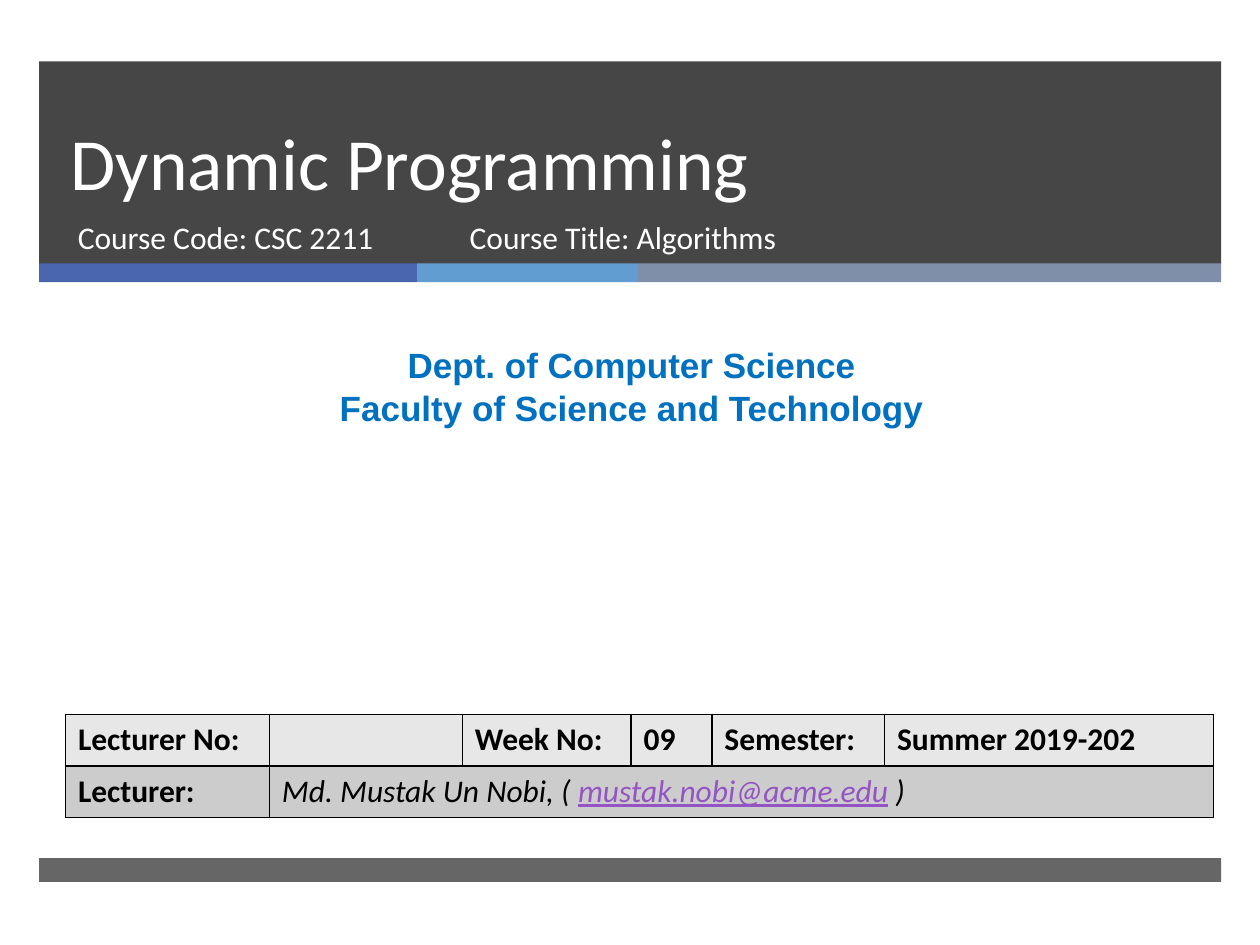
from dataclasses import dataclass

from lxml.etree import SubElement
from pptx import Presentation
from pptx.dml.color import RGBColor
from pptx.enum.shapes import MSO_SHAPE
from pptx.enum.text import MSO_ANCHOR, MSO_AUTO_SIZE, PP_ALIGN
from pptx.oxml.ns import qn
from pptx.util import Cm, Pt

WHITE, BLACK, DARK, BLUE, VIOLET = "FFFFFF", "000000", "262626", "0070C0", "9454C3"


@dataclass
class Box:
    """A rectangle in centimetres."""
    left: float
    top: float
    width: float
    height: float

    def lengths(self) -> list:
        return [Cm(n) for n in (self.left, self.top, self.width, self.height)]


@dataclass
class Band:
    box: Box
    color: str
    opacity: int = 100


def rgb(color: str) -> RGBColor:
    return RGBColor.from_string(color)


def add_span(para, text: str, *, size=18, font="Calibri", color=BLACK,
             bold=False, italic=False, underline=False) -> None:
    span = para.add_run()
    span.text = text
    style = span.font
    style.name, style.size, style.color.rgb = font, Pt(size), rgb(color)
    style.bold, style.italic, style.underline = bold, italic, underline


def add_band(page, band: Band) -> None:
    shape = page.shapes.add_shape(MSO_SHAPE.RECTANGLE, *band.box.lengths())
    shape.shadow.inherit = False
    shape.line.fill.background()
    shape.fill.solid()
    shape.fill.fore_color.rgb = rgb(band.color)
    if band.opacity < 100:
        tint = shape.fill._xPr.find(".//" + qn("a:srgbClr"))
        SubElement(tint, qn("a:alpha"), val=str(band.opacity * 1000))


def add_text(page, box: Box, lines: list[str], align=PP_ALIGN.LEFT, **style) -> None:
    frame = page.shapes.add_textbox(*box.lengths()).text_frame
    frame.word_wrap = True
    for index, line in enumerate(lines):
        para = frame.add_paragraph() if index else frame.paragraphs[0]
        para.alignment = align
        add_span(para, line, **style)


def format_cell(cell, color: str) -> None:
    properties = cell._tc.get_or_add_tcPr()
    for side in ("a:lnL", "a:lnR", "a:lnT", "a:lnB"):
        line = SubElement(properties, qn(side), w=str(Pt(1)))
        SubElement(SubElement(line, qn("a:solidFill")), qn("a:srgbClr"), val=BLACK)
    cell.fill.solid()
    cell.fill.fore_color.rgb = rgb(color)


def add_lecture_table(page) -> None:
    widths = [4.11, 3.89, 3.4, 1.63, 3.48, 6.63]
    box = Box(1.32, 14.4, sum(widths), 2.08)
    table = page.shapes.add_table(2, len(widths), *box.lengths()).table
    for column, width in zip(table.columns, widths):
        column.width = Cm(width)
    for row, color in zip(table.rows, ("E7E7E7", "CCCCCC")):
        for cell in row.cells:
            format_cell(cell, color)
    table.cell(1, 1).merge(table.cell(1, 5))

    labels = ["Lecturer No:", "", "Week No:", "09", "Semester:", "Summer 2019-202"]
    for index, label in enumerate(labels):
        if label:
            add_span(table.cell(0, index).text_frame.paragraphs[0], label, bold=True)
    add_span(table.cell(1, 0).text_frame.paragraphs[0], "Lecturer:", bold=True)
    para = table.cell(1, 1).text_frame.paragraphs[0]
    add_span(para, "Md. Mustak Un Nobi, ( ", italic=True)
    add_span(para, "mustak.nobi@acme.edu", italic=True, color=VIOLET, underline=True)
    add_span(para, " )", italic=True)


def add_title(page, box: Box, text: str) -> None:
    title = page.shapes.title
    title.left, title.top, title.width, title.height = box.lengths()
    page.shapes._spTree.append(title._element)  # bring above the dark band
    frame = title.text_frame
    frame.auto_size = MSO_AUTO_SIZE.NONE
    frame.vertical_anchor = MSO_ANCHOR.BOTTOM
    para = frame.paragraphs[0]
    para.alignment, para.line_spacing = PP_ALIGN.LEFT, Pt(46)
    add_span(para, text, size=42, color=WHITE)


def main() -> None:
    deck = Presentation()
    deck.slide_width, deck.slide_height = Cm(25.4), Cm(19.05)
    page = deck.slides.add_slide(deck.slide_layouts[5])

    # Header band, three-colour strip and footer band
    left, width = 0.79, 23.83
    add_band(page, Band(Box(left, 1.24, width, 4.09), DARK, 85))
    start = left
    for part, color in ((7.62, "4A66AC"), (4.45, "629DD1"), (11.76, "7F8FA9")):
        add_band(page, Band(Box(start, 5.31, part, 0.38), color))
        start += part
    add_band(page, Band(Box(left, 17.3, width, 0.48), DARK, 70))

    # Title and course details
    add_title(page, Box(1.17, 1.24, 21.69, 3.02), "Dynamic Programming")
    add_text(page, Box(1.32, 4.27, 7.75, 1.35), ["Course Code: CSC 2211"], color=WHITE)
    add_text(page, Box(9.22, 4.27, 11.56, 1.35), ["Course Title: Algorithms"], color=WHITE)

    # Department
    add_text(page, Box(0.2, 6.81, 25.07, 1.96),
             ["Dept. of Computer Science", "Faculty of Science and Technology"],
             PP_ALIGN.CENTER, size=20, font="Arial", color=BLUE, bold=True)

    # Lecture details
    add_lecture_table(page)
    deck.save("out.pptx")


if __name__ == "__main__":
    main()
